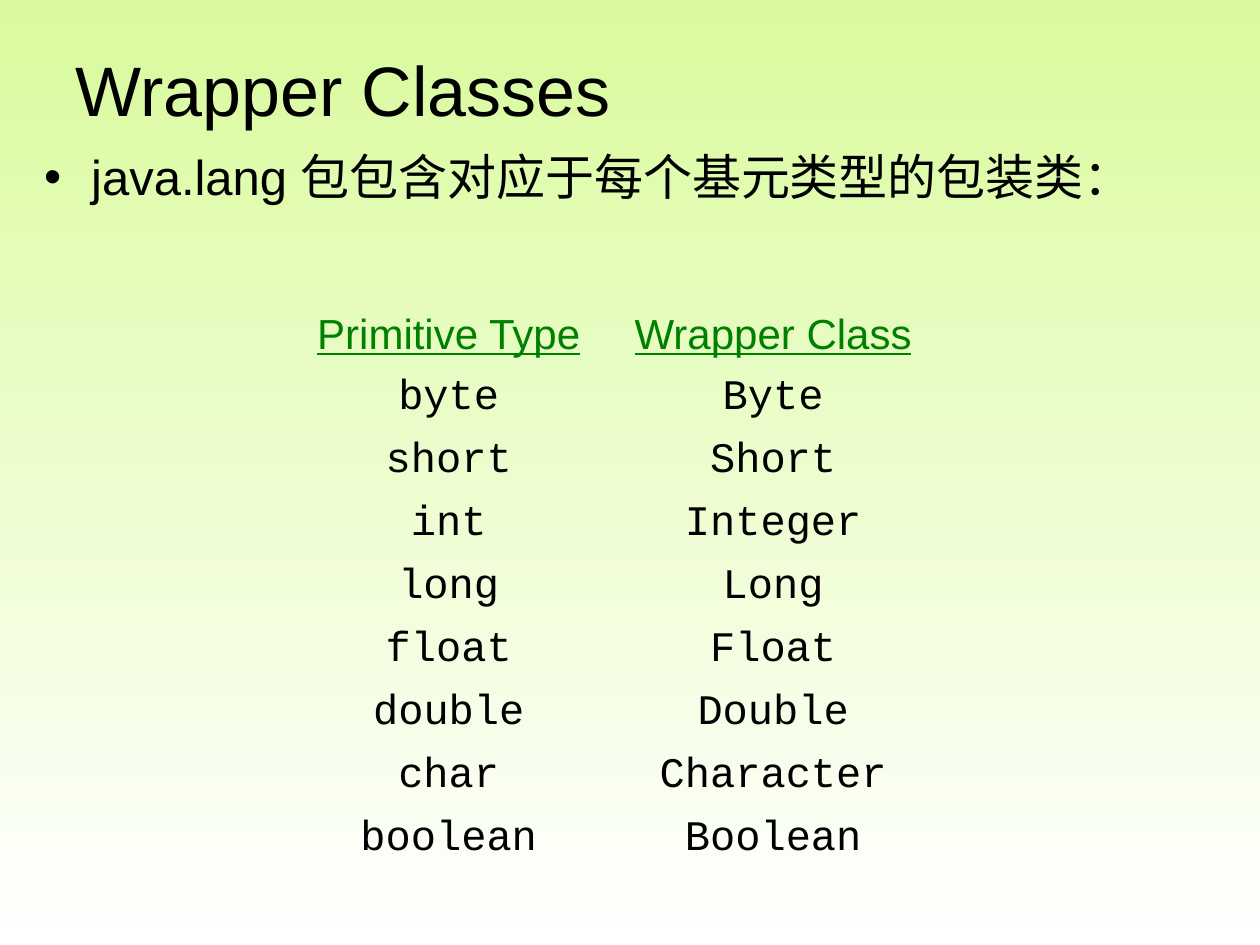
from lxml import etree
from pptx import Presentation
from pptx.dml.color import RGBColor
from pptx.enum.text import MSO_ANCHOR, PP_ALIGN
from pptx.oxml.ns import qn
from pptx.util import Cm, Pt

CENTER, MIDDLE = PP_ALIGN.CENTER, MSO_ANCHOR.MIDDLE
BLACK = RGBColor(0x00, 0x00, 0x00)
GREEN = RGBColor(0x00, 0x80, 0x00)
LIME = RGBColor(0xD9, 0xFB, 0x9D)
WHITE = RGBColor(0xFF, 0xFF, 0xFF)
NO_STYLE_NO_GRID = "{2D5ABB26-0587-4C30-8999-92F81FD0307C}"

# Content
TITLE = "Wrapper Classes"
INTRO = "java.lang 包包含对应于每个基元类型的包装类："
ROWS = [
    ("Primitive Type", "Wrapper Class"),
    ("byte", "Byte"),
    ("short", "Short"),
    ("int", "Integer"),
    ("long", "Long"),
    ("float", "Float"),
    ("double", "Double"),
    ("char", "Character"),
    ("boolean", "Boolean"),
]
COL_WIDTHS = (6.65, 6.43)
ROW_HEIGHT = 1.27


def style(p, size, color=BLACK, name="Arial", underline=False):
    for r in p.runs:
        r.font.size = Pt(size)
        r.font.name = name
        r.font.color.rgb = color
        r.font.underline = underline


def add_text(s, text, size, left, top, width, height):
    tf = s.shapes.add_textbox(Cm(left), Cm(top), Cm(width), Cm(height)).text_frame
    tf.word_wrap = True
    tf.text = text
    style(tf.paragraphs[0], size)
    return tf


prs = Presentation()
prs.slide_width, prs.slide_height = Cm(25.4), Cm(19.05)
s = prs.slides.add_slide(prs.slide_layouts[6])

# Background fading downwards from lime to white
fill = s.background.fill
fill.gradient()
fill.gradient_angle = 270
for stop, color, position in zip(fill.gradient_stops, (LIME, WHITE), (0, 1)):
    stop.color.rgb = color
    stop.position = position

# Title
tf = add_text(s, TITLE, 40, 1.27, 0.2, 23.06, 3.18)
tf.vertical_anchor = MIDDLE

# Bulleted introduction
p = add_text(s, INTRO, 28, 0.64, 2.97, 23.93, 2.95).paragraphs[0]
p.line_spacing = 0.9
pPr = p._p.get_or_add_pPr()
pPr.set("marL", str(Cm(0.95)))
pPr.set("indent", str(-Cm(0.95)))
etree.SubElement(pPr, qn("a:buFont"), typeface="Arial")
etree.SubElement(pPr, qn("a:buChar"), char="•")

# Table of types
table = s.shapes.add_table(
    len(ROWS), len(COL_WIDTHS), Cm(5.72), Cm(6.15),
    Cm(sum(COL_WIDTHS)), Cm(ROW_HEIGHT * len(ROWS))).table
table.first_row = table.horz_banding = False
table._tbl.tblPr.find(qn("a:tableStyleId")).text = NO_STYLE_NO_GRID
for col, width in zip(table.columns, COL_WIDTHS):
    col.width = Cm(width)
for i, row in enumerate(ROWS):
    table.rows[i].height = Cm(ROW_HEIGHT)
    for j, text in enumerate(row):
        cell = table.cell(i, j)
        cell.fill.background()
        cell.text_frame.text = text
        p = cell.text_frame.paragraphs[0]
        p.alignment = CENTER
        if i == 0:
            style(p, 24, GREEN, underline=True)
        else:
            style(p, 24, name="Courier New")

prs.save("out.pptx")
